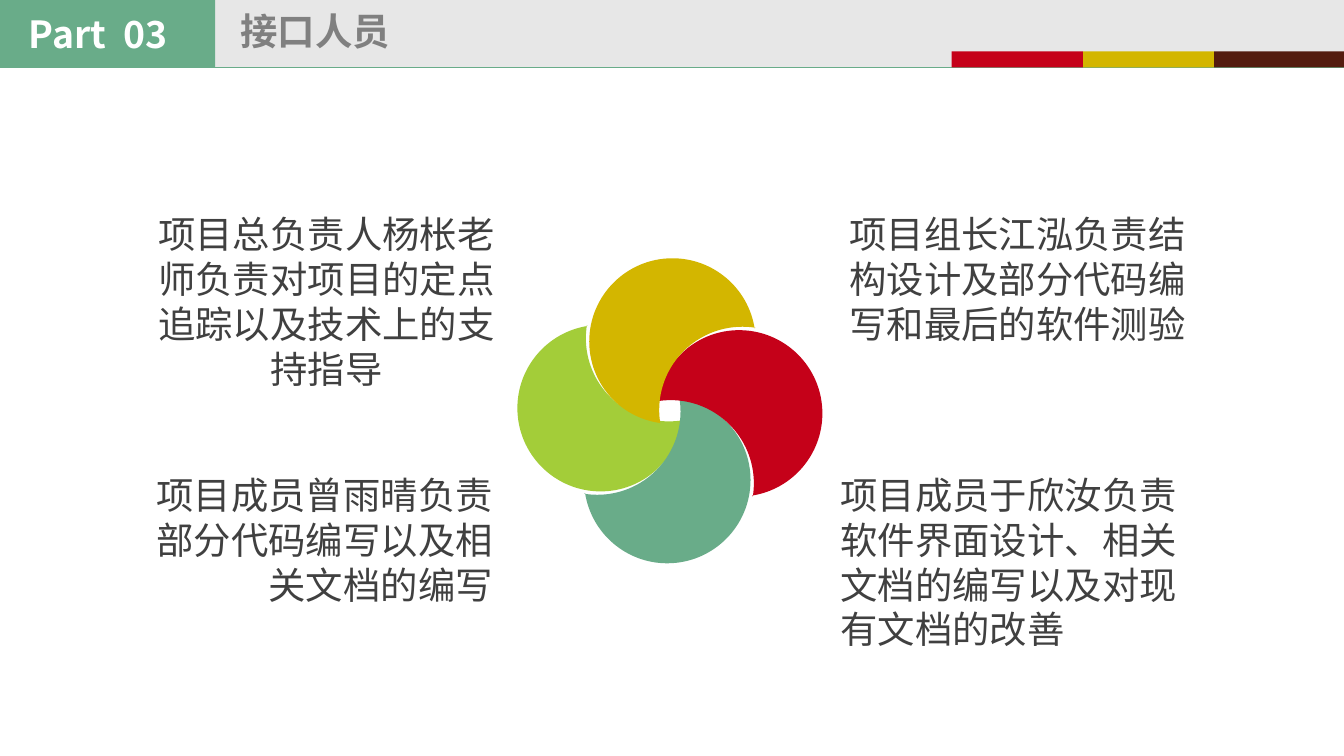
"""Build the contact-person slide with a four-petal pinwheel and four role notes."""
import math

import lxml.etree
import pptx
import pptx.dml.color
import pptx.enum.shapes
import pptx.enum.text
import pptx.oxml
import pptx.oxml.ns
import pptx.util

Pt = pptx.util.Pt
RGBColor = pptx.dml.color.RGBColor
ALIGN = pptx.enum.text.PP_ALIGN
qn = pptx.oxml.ns.qn

GREEN = RGBColor(0x69, 0xAC, 0x89)
LIME = RGBColor(0xA3, 0xCD, 0x39)
RED = RGBColor(0xC5, 0x01, 0x19)
GOLD = RGBColor(0xD3, 0xB6, 0x00)
BROWN = RGBColor(0x54, 0x1C, 0x0F)
SILVER = RGBColor(0xD9, 0xD9, 0xD9)
GRAY = RGBColor(0x80, 0x80, 0x80)
DARK = RGBColor(0x40, 0x40, 0x40)
WHITE = RGBColor(0xFF, 0xFF, 0xFF)
CJK_FONT = "Noto Sans CJK SC"


def add_text(text, left, top, width, height, font=CJK_FONT, color=DARK,
             bold=False, align=ALIGN.LEFT, wrap=True):
    tb = s.shapes.add_textbox(Pt(left), Pt(top), Pt(width), Pt(height))
    tf = tb.text_frame
    tf.word_wrap = wrap
    tf.auto_size = pptx.enum.text.MSO_AUTO_SIZE.SHAPE_TO_FIT_TEXT
    p = tf.paragraphs[0]
    p.alignment = align
    r = p.add_run()
    r.text = text
    r.font.size = Pt(20)
    r.font.bold = bold
    r.font.color.rgb = color
    r.font.name = font


def paint(sp, color):
    sp.shadow.inherit = False
    sp.fill.solid()
    sp.fill.fore_color.rgb = color
    sp.line.fill.background()
    return sp


prs = pptx.Presentation()
prs.slide_width, prs.slide_height = Pt(720), Pt(405)
s = prs.slides.add_slide(prs.slide_layouts[6])

bars = [(0.5, 0, 720, 36, SILVER), (0, 0, 115.3, 36, GREEN)]
bars += [(509.8 + 70.3 * i, 27.5, 70.3, 8.6, color)
         for i, color in reversed(list(enumerate((RED, GOLD, BROWN))))]
for left, top, width, height, color in bars:
    sp = paint(s.shapes.add_shape(
        pptx.enum.shapes.MSO_SHAPE.RECTANGLE,
        Pt(left), Pt(top), Pt(width), Pt(height)), color)
    if color == SILVER:
        rgb = sp._element.spPr.find(qn("a:solidFill"))[0]
        lxml.etree.SubElement(rgb, qn("a:alpha"), val="61000")
    if color == GREEN:
        rule = s.shapes.add_connector(
            pptx.enum.shapes.MSO_CONNECTOR.STRAIGHT,
            Pt(-0.5), Pt(36), Pt(720.5), Pt(36))
        rule.line.color.rgb = GREEN
        rule.line.width = Pt(0.5)
        lxml.etree.SubElement(rule._element.spPr, qn("a:effectLst"))

add_text("接口人员", 121.7, 0.7, 94.3, 33, color=GRAY, bold=True, wrap=False)
add_text("Part  03", 8.4, 2.2, 113, 32, color=WHITE, bold=True)

notes = [
    ("项目总负责人杨枨老师负责对项目的定点追踪以及技术上的支持指导",
     72.7, 109.7, 103, ALIGN.CENTER),
    ("项目成员曾雨晴负责部分代码编写以及相关文档的编写",
     66.7, 249.4, 79, ALIGN.RIGHT),
    ("项目组长江泓负责结构设计及部分代码编写和最后的软件测验",
     442.9, 109.7, 79, ALIGN.CENTER),
    ("项目成员于欣汝负责软件界面设计、相关文档的编写以及对现有文档的改善",
     443.1, 249.4, 103, ALIGN.LEFT),
]
for text, left, top, height, align in notes:
    add_text(text, left, top, 204.5, height, font="Calibri", align=align)

HUB_X, HUB_Y, RADIUS = 358.9, 220.1, 44.6
arcs = [(-0.4, -38.9, (189, 180, 90, 81)), (-37.1, -1.4, (9, 90, 180, 261))]
petal = []
for x, y, angles in arcs:
    for start, end in zip(angles, angles[1:]):
        a, b = math.radians(start), math.radians(end)
        k = 4 / 3 * math.tan((b - a) / 4)
        curve = [(math.cos(a), math.sin(a)),
                 (math.cos(a) - k * math.sin(a), math.sin(a) + k * math.cos(a)),
                 (math.cos(b) + k * math.sin(b), math.sin(b) - k * math.cos(b)),
                 (math.cos(b), math.sin(b))]
        petal += [(x + RADIUS * u, y + RADIUS * v)
                  for u, v in (curve[1:] if petal else curve)]

pinwheel = s.shapes.add_group_shape()
for turn, color in ((0, LIME), (270, GREEN), (180, RED), (90, GOLD)):
    c, d = math.cos(math.radians(turn)), math.sin(math.radians(turn))
    points = [(Pt(HUB_X + x * c - y * d), Pt(HUB_Y + x * d + y * c))
              for x, y in petal]
    fb = pinwheel.shapes.build_freeform(*points[0])
    fb.add_line_segments(points[1:], close=True)
    sp = paint(fb.convert_to_shape(), color)
    outline = next(sp._element.iter(qn("a:path")))
    lines = outline.findall(qn("a:lnTo"))
    for i in range(0, len(lines), 3):
        bezier = lxml.etree.Element(qn("a:cubicBezTo"))
        lines[i].addprevious(bezier)
        for line in lines[i:i + 3]:
            bezier.append(line[0])
            outline.remove(line)

prs.save("out.pptx")
